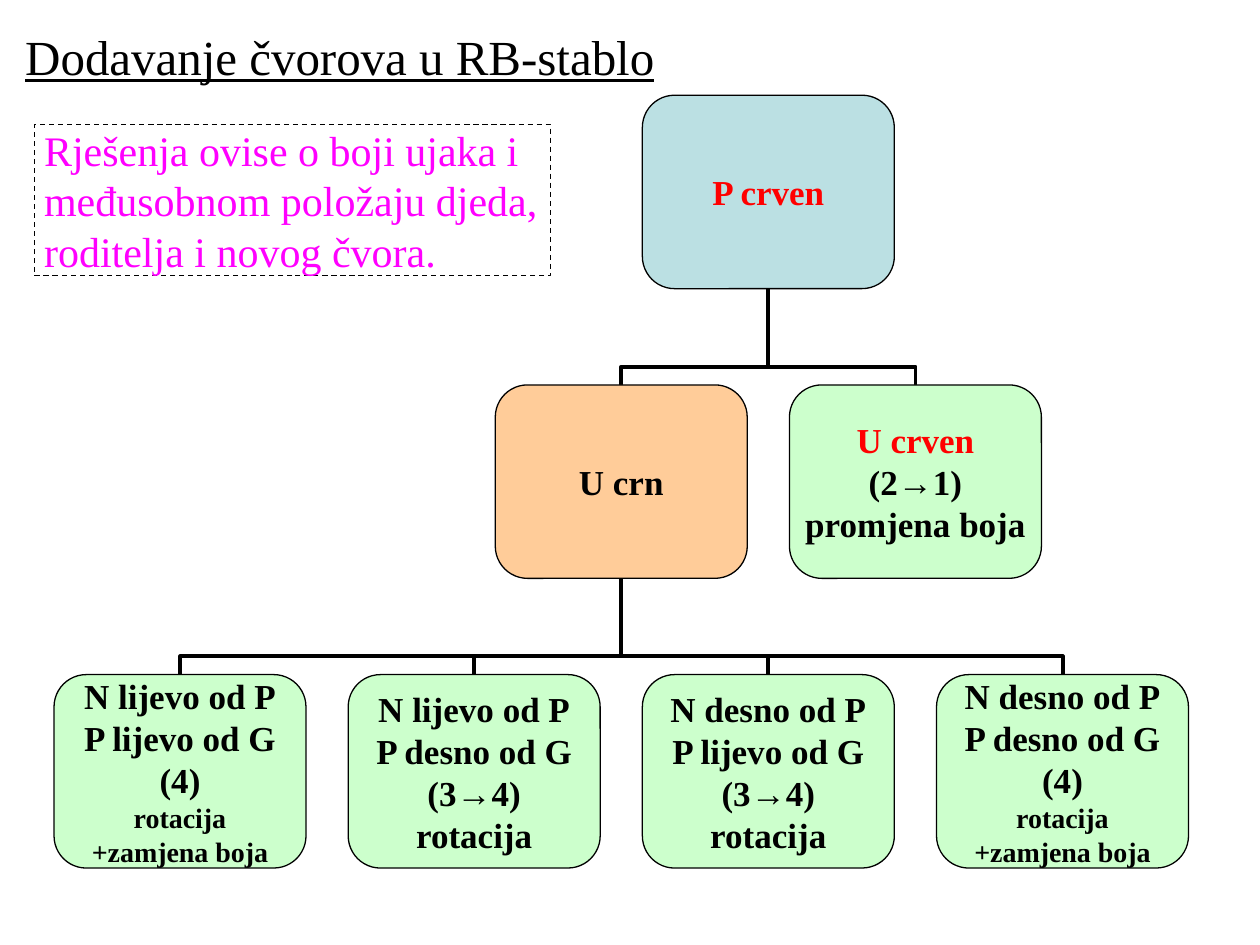
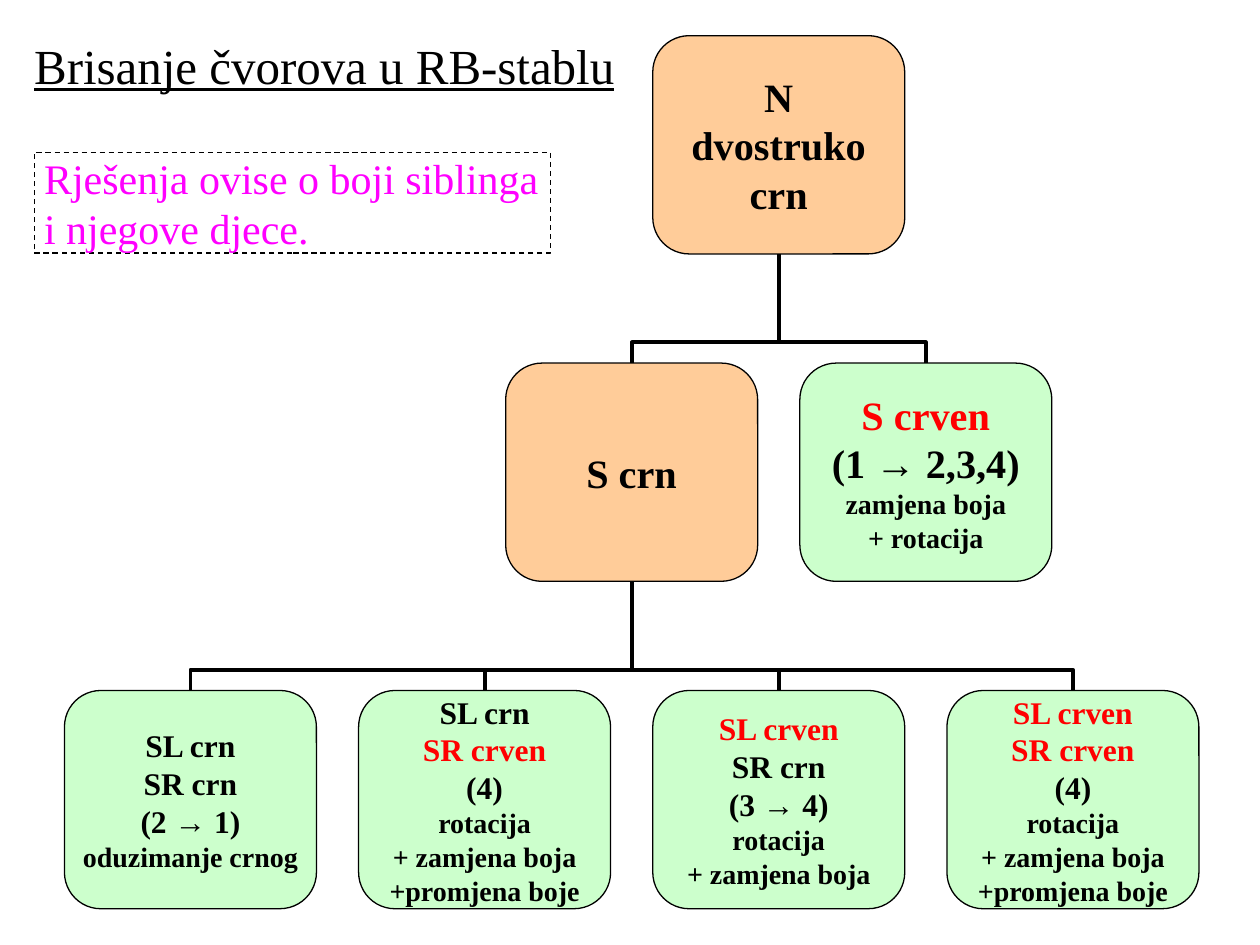
from dataclasses import dataclass

from lxml import etree
from pptx import Presentation
from pptx.dml.color import RGBColor
from pptx.enum import dml, shapes, text
from pptx.oxml import ns
from pptx.util import Cm, Pt

BLACK = RGBColor(0x00, 0x00, 0x00)
RED = RGBColor(0xFF, 0x00, 0x00)
MAGENTA = RGBColor(0xFF, 0x00, 0xFF)
BLUE = RGBColor(0xBB, 0xE0, 0xE3)
ORANGE = RGBColor(0xFF, 0xCC, 0x99)
GREEN = RGBColor(0xCC, 0xFF, 0xCC)

SERIF = "Times New Roman"
ARROW_FONT = "Arial"
ARROW = "→"
NODE_WIDTH = 5.08
COLUMN_STEP = 5.93
ACTION_SIZE = 16
BEND = 18900


@dataclass
class Node:
    """One case of the decision tree, with its place in columns and rows."""
    column: float
    row: int
    fill: RGBColor
    size: int
    conditions: list
    actions: tuple = ()
    children: tuple = ()


@dataclass
class Tree:
    """Box of a tree: its corner, node height and row distance in cm."""
    left: float
    top: float
    node_height: float
    row_step: float

    def corner(self, node):
        """Return the top left corner of a node."""
        return (self.left + node.column * COLUMN_STEP,
                self.top + node.row * self.row_step)


def set_margins(frame, left=0):
    """Remove the text margins, except for a given left one."""
    frame.margin_left = Cm(left)
    frame.margin_top = frame.margin_right = frame.margin_bottom = 0


def style(paragraph, size, color, bold=False, underline=False):
    """Set the shared typeface and the look of a paragraph."""
    font = paragraph.font
    font.name, font.size, font.bold = SERIF, Pt(size), bold
    font.underline = underline
    font.color.rgb = color


def add_title(slide, left, top, width, title):
    """Add the underlined slide title."""
    box = slide.shapes.add_textbox(Cm(left), Cm(top), Cm(width), Cm(1.19))
    frame = box.text_frame
    frame.word_wrap = True
    set_margins(frame)
    frame.text = title
    style(frame.paragraphs[0], 28, BLACK, underline=True)


def add_note(slide, top, height, note):
    """Add the dashed box that says what the solutions depend on."""
    shape = slide.shapes.add_shape(
        shapes.MSO_SHAPE.RECTANGLE, Cm(0.69), Cm(top), Cm(10.41), Cm(height))
    shape.shadow.inherit = False
    shape.fill.background()
    shape.line.color.rgb = BLACK
    shape.line.width = Pt(0.75)
    shape.line.dash_style = dml.MSO_LINE.DASH
    frame = shape.text_frame
    frame.word_wrap = True
    frame.vertical_anchor = text.MSO_ANCHOR.TOP
    set_margins(frame, 0.2)
    frame.text = note
    paragraph = frame.paragraphs[0]
    paragraph.alignment = text.PP_ALIGN.LEFT
    style(paragraph, 24, MAGENTA)


def add_branch(slide, tree, parent, child):
    """Join the top of a child to the bottom of its parent with an elbow."""
    parent_left, parent_top = tree.corner(parent)
    child_left, child_top = tree.corner(child)
    parent_bottom = parent_top + tree.node_height
    center_x = (parent_left + child_left + NODE_WIDTH) / 2
    center_y = (parent_bottom + child_top) / 2
    child_is_left = child_left < parent_left
    half_gap = (child_top - parent_bottom) / 2
    half_width = half_gap if child_is_left else -half_gap
    half_height = abs(parent_left - child_left) / 2
    connector = slide.shapes.add_connector(
        shapes.MSO_CONNECTOR.ELBOW,
        Cm(center_x + half_width), Cm(center_y + half_height),
        Cm(center_x - half_width), Cm(center_y - half_height))
    connector.line.color.rgb = BLACK
    connector.line.width = Pt(2.25)
    properties = connector.element.spPr
    properties.xfrm.rot = 90 if child_is_left else 270
    adjustments = properties.find(ns.qn("a:prstGeom")).find(ns.qn("a:avLst"))
    etree.SubElement(adjustments, ns.qn("a:gd"), name="adj1", fmla=f"val {BEND}")
    etree.SubElement(properties, ns.qn("a:effectLst"))


def add_line(paragraph, line, size):
    """Write one centred line; red nodes are red, arrows have their own font."""
    before, arrow, after = line.partition(ARROW)
    paragraph.text = before
    if arrow:
        run = paragraph.add_run()
        run.text = arrow
        run.font.name = ARROW_FONT
        paragraph.add_run().text = after
    paragraph.alignment = text.PP_ALIGN.CENTER
    style(paragraph, size, RED if line.endswith("crven") else BLACK, bold=True)


def add_node(slide, tree, node):
    """Add the rounded box of a node."""
    left, top = tree.corner(node)
    shape = slide.shapes.add_shape(
        shapes.MSO_SHAPE.ROUNDED_RECTANGLE,
        Cm(left), Cm(top), Cm(NODE_WIDTH), Cm(tree.node_height))
    shape.shadow.inherit = False
    shape.fill.solid()
    shape.fill.fore_color.rgb = node.fill
    shape.line.color.rgb = BLACK
    shape.line.width = Pt(0.75)
    frame = shape.text_frame
    frame.word_wrap = False
    frame.vertical_anchor = text.MSO_ANCHOR.MIDDLE
    set_margins(frame)
    lines = [(line, node.size) for line in node.conditions]
    lines += [(line, ACTION_SIZE) for line in node.actions]
    for index, (line, size) in enumerate(lines):
        paragraph = frame.add_paragraph() if index else frame.paragraphs[0]
        add_line(paragraph, line, size)


def add_tree(slide, tree, node):
    """Add a node over its branches, and then its children."""
    for child in node.children:
        add_branch(slide, tree, node, child)
    add_node(slide, tree, node)
    for child in node.children:
        add_tree(slide, tree, child)


def leaves(size, cases):
    """Make the bottom row of nodes from conditions and actions."""
    return tuple(Node(column, 2, GREEN, size, conditions, actions)
                 for column, (conditions, actions) in enumerate(cases))


def add_insertion_slide(presentation):
    """Build the slide on adding nodes."""
    slide = presentation.slides.add_slide(presentation.slide_layouts[6])
    add_title(slide, 0.51, 0.53, 24.41, "Dodavanje čvorova u RB-stablo")
    recolor = ("rotacija", "+zamjena boja")
    cases = leaves(20, [
        (["N lijevo od P", "P lijevo od G", "(4)"], recolor),
        (["N lijevo od P", "P desno od G", "(3→4)", "rotacija"], ()),
        (["N desno od P", "P lijevo od G", "(3→4)", "rotacija"], ()),
        (["N desno od P", "P desno od G", "(4)"], recolor),
    ])
    black_uncle = Node(1.5, 1, ORANGE, 20, ["U crn"], children=cases)
    red_uncle = Node(2.5, 1, GREEN, 20, ["U crven", "(2→1)", "promjena boja"])
    root = Node(2, 0, BLUE, 20, ["P crven"], children=(black_uncle, red_uncle))
    add_tree(slide, Tree(1.09, 1.92, 3.9, 5.84), root)
    add_note(slide, 2.51, 3.05, "Rješenja ovise o boji ujaka i međusobnom "
             "položaju djeda, roditelja i novog čvora.")


def add_deletion_slide(presentation):
    """Build the slide on deleting nodes."""
    slide = presentation.slides.add_slide(presentation.slide_layouts[6])
    rotate = ("rotacija", "+ zamjena boja")
    rotate_and_recolor = rotate + ("+promjena boje",)
    cases = leaves(18, [
        (["SL crn", "SR crn", "(2 → 1)"], ("oduzimanje crnog",)),
        (["SL crn", "SR crven", "(4)"], rotate_and_recolor),
        (["SL crven", "SR crn", "(3 → 4)"], rotate),
        (["SL crven", "SR crven", "(4)"], rotate_and_recolor),
    ])
    black_sibling = Node(1.5, 1, ORANGE, 23, ["S crn"], children=cases)
    red_sibling = Node(2.5, 1, GREEN, 23, ["S crven", "(1 → 2,3,4)"],
                       ("zamjena boja\v+ rotacija",))
    root = Node(2, 0, ORANGE, 23, ["N", "dvostruko", "crn"],
                children=(black_sibling, red_sibling))
    add_tree(slide, Tree(1.3, 0.72, 4.4, 6.6), root)
    add_title(slide, 0.69, 0.71, 24, "Brisanje čvorova u RB-stablu")
    add_note(slide, 3.07, 2.03,
             "Rješenja ovise o boji siblinga i njegove djece.")


def main():
    """Build and save the presentation."""
    presentation = Presentation()
    presentation.slide_width, presentation.slide_height = Cm(25.4), Cm(19.05)
    add_insertion_slide(presentation)
    add_deletion_slide(presentation)
    presentation.save("out.pptx")


if __name__ == "__main__":
    main()
